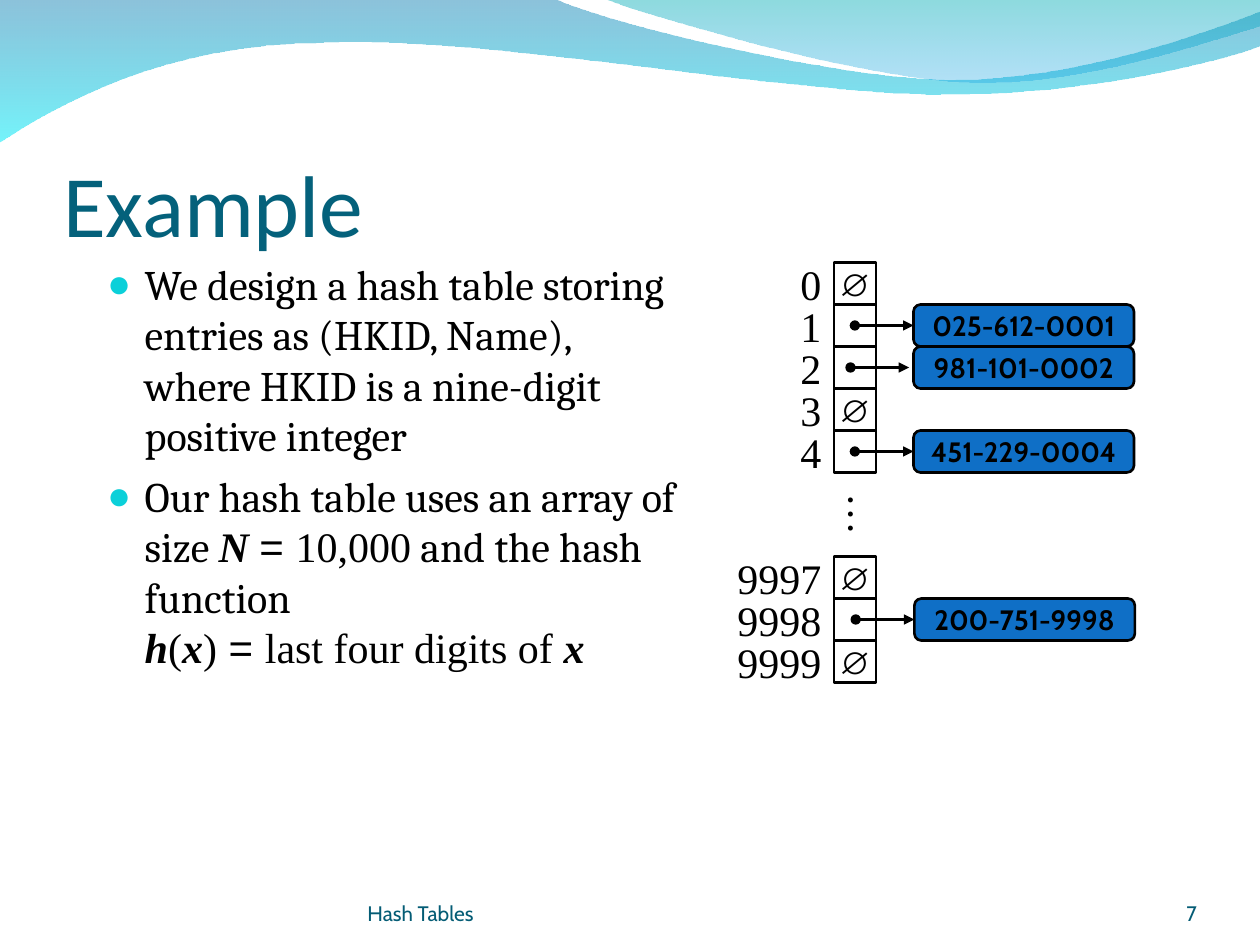
from lxml.etree import SubElement
from pptx import Presentation
from pptx.dml.color import RGBColor
from pptx.enum.shapes import MSO_CONNECTOR as CONN, MSO_SHAPE as SHAPE
from pptx.enum.text import MSO_ANCHOR as ANCHOR, MSO_AUTO_SIZE as AUTO, PP_ALIGN as ALIGN
from pptx.oxml.ns import qn
from pptx.util import Pt

BLACK, TEAL, SERIF = "000000", "045C75", "Times New Roman"
BOLD_ITALIC = (SERIF, True)
BULLETS = [
    [("We design a hash table storing entries as (HKID, Name), "
      "where HKID is a nine-digit positive integer", "Cambria", False)],
    [("Our hash table uses an array of size ", "Cambria", False),
     ("N ", *BOLD_ITALIC), ("= ", "Arial", False), ("10,000", SERIF, False),
     (" and the hash function\n", "Cambria", False),
     ("h", *BOLD_ITALIC), ("(", SERIF, False), ("x", *BOLD_ITALIC),
     (")", SERIF, False), (" = ", "Arial", False),
     ("last four digits of ", SERIF, False), ("x", *BOLD_ITALIC)],
]
ROWS = [
    (0, "0", None, 0, 0), (1, "1", "025-612-0001", 0, 0),
    (2, "2", "981-101-0002", 0, -2.5), (3, "3", None, 0, 0),
    (4, "4", "451-229-0004", 0, 0), (7, "9997", None, 0, 0),
    (8, "9998", "200-751-9998", 0.5, 0.5), (9, "9999", None, 0, 0),
]
WAVES = [
    ((0, -0.7), [
        [(316.8, -0.7)],
        [(342.7, 12.2), (478.1, 45.4), (545.8, 45.4)],
        [(614.2, 45.4), (689.8, 18.7), (720, 6.5)],
        [(720.7, 25.9)],
        [(707.8, 31.7), (626.4, 54.7), (537.1, 54)],
        [(447.8, 54), (275, 20.2), (185, 24.5)],
        [(92.9, 25.2), (33.1, 59.8), (-0.7, 81.4)],
    ], [("0079AF", 45), ("00EBF8", 55)]),
    ((344.9, -0.7), [
        [(366.5, 7.9), (491, 44.6), (553.7, 46.8)],
        [(616.3, 49.7), (691.9, 23), (720, 15.1)],
        [(720, 0)],
    ], [("00ADB6", 45), ("009BE5", 30)]),
]


def rgb(value):
    """Turn a hex string into a colour."""
    return RGBColor.from_string(value)


def add_run(p, text, font, size, color=BLACK, bold=None, italic=None):
    """Add one formatted run to a paragraph."""
    r = p.add_run()
    r.text = text
    r.font.name, r.font.size = font, Pt(size)
    r.font.bold, r.font.italic = bold, italic
    r.font.color.rgb = rgb(color)


def set_frame(tf, margins, anchor=ANCHOR.TOP, wrap=True):
    """Set the insets, anchor and wrapping of a text frame."""
    tf.margin_left, tf.margin_top, tf.margin_right, tf.margin_bottom = map(Pt, margins)
    tf.auto_size, tf.word_wrap, tf.vertical_anchor = AUTO.NONE, wrap, anchor


def place(sp, box):
    """Move a shape to a box in points."""
    sp.left, sp.top, sp.width, sp.height = map(Pt, box)


def add_label(shapes, box, text, font, size, color=BLACK, align=ALIGN.CENTER,
              margins=(7.2, 3.6, 7.2, 3.6), anchor=ANCHOR.TOP, wrap=False):
    """Add a text box with one line of text."""
    sp = shapes.add_textbox(*map(Pt, box))
    set_frame(sp.text_frame, margins, anchor, wrap)
    p = sp.text_frame.paragraphs[0]
    p.alignment = align
    add_run(p, text, font, size, color)
    return sp


def bend(sp, segments):
    """Join each three straight steps of a segment into one cubic curve."""
    steps = iter(list(sp._element.iter(qn("a:lnTo"))))
    for seg in segments:
        first, *rest = [next(steps) for _ in seg]
        if rest:
            first.tag = qn("a:cubicBezTo")
        for step in rest:
            first.append(step[0])
            step.getparent().remove(step)


def add_wave(s, start, segments, stops):
    """Draw one translucent gradient wave."""
    points = [(Pt(x), Pt(y)) for seg in segments for x, y in seg]
    builder = s.shapes.build_freeform(*map(Pt, start))
    builder.add_line_segments(points, close=True)
    sp = builder.convert_to_shape()
    bend(sp, segments)
    sp.shadow.inherit = False
    sp.line.fill.background()
    sp.fill.gradient()
    sp.fill.gradient_angle = 270
    for stop, (color, _), pos in zip(sp.fill.gradient_stops, stops, (0, 1)):
        stop.color.rgb, stop.position = rgb(color), pos
    for clr, (_, alpha) in zip(sp._element.spPr.iter(qn("a:srgbClr")), stops):
        SubElement(clr, qn("a:alpha"), val=str(alpha * 1000))


def add_title(s, box, text):
    """Fill the title placeholder."""
    place(s.shapes.title, box)
    tf = s.shapes.title.text_frame
    set_frame(tf, (0, 3.6, 0, 0), ANCHOR.BOTTOM)
    p = tf.paragraphs[0]
    p.alignment = ALIGN.LEFT
    add_run(p, text, "Calibri", 50, "04617B")


def add_bullets(s, box, items):
    """Fill the body placeholder with bulleted paragraphs."""
    body = s.placeholders[1]
    place(body, box)
    tf = body.text_frame
    set_frame(tf, (7.2, 3.6, 7.2, 3.6))
    for i, runs in enumerate(items):
        p = tf.add_paragraph() if i else tf.paragraphs[0]
        pPr = p._p.get_or_add_pPr()
        pPr.set("marL", str(Pt(21.5)))
        pPr.set("indent", str(-Pt(21.5)))
        SubElement(SubElement(pPr, qn("a:buClr")), qn("a:srgbClr"), val="0BD0D9")
        SubElement(pPr, qn("a:buSzPct"), val="95000")
        SubElement(pPr, qn("a:buChar"), char="●")
        p.space_before = Pt(6 if i else 0)
        for text, font, strong in runs:
            add_run(p, text.rstrip("\n"), font, 24, bold=strong, italic=strong)
            if text.endswith("\n"):
                p.add_line_break()


def add_box(shapes, kind, box, fill=None, text=None, font="Arial", size=18, bold=None):
    """Add an outlined shape with optional fill and centred text."""
    sp = shapes.add_shape(kind, *map(Pt, box))
    sp.shadow.inherit = False
    if fill:
        sp.fill.solid()
        sp.fill.fore_color.rgb = rgb(fill)
    else:
        sp.fill.background()
    sp.line.color.rgb, sp.line.width = rgb(BLACK), Pt(1.5)
    if text:
        set_frame(sp.text_frame, (7.2, 3.6, 7.2, 3.6), ANCHOR.MIDDLE, False)
        p = sp.text_frame.paragraphs[0]
        p.alignment = ALIGN.CENTER
        add_run(p, text, font, size, bold=bold)


def add_pointer(shapes, x1, x2, y):
    """Draw a pointer from a dot to an arrowhead."""
    line = shapes.add_connector(CONN.STRAIGHT, Pt(x1), Pt(y), Pt(x2), Pt(y))
    line.line.color.rgb, line.line.width = rgb(BLACK), Pt(1.5)
    ln = line.line._get_or_add_ln()
    SubElement(ln, qn("a:headEnd"), type="oval")
    SubElement(ln, qn("a:tailEnd"), type="triangle")
    SubElement(line._element.spPr, qn("a:effectLst"))


def add_hash_table(s, box, rows):
    """Draw the array cells, their indices and the stored keys as a group."""
    shapes = s.shapes.add_group_shape().shapes
    left, top, width, height = box
    side, cell_x, key_w = height / 10, left + 62.5, 126
    key_x = left + width - key_w
    for row, index, key, key_dx, arrow_dx in rows:
        y = top + row * side
        index_w = 12 * len(index) + 14.4
        add_box(shapes, SHAPE.RECTANGLE, (cell_x, y, side, side), text=None if key else "∅")
        add_label(shapes, (cell_x - index_w, y - 6, index_w, 36), index, SERIF, 24)
        if key:
            add_box(shapes, SHAPE.ROUNDED_RECTANGLE, (key_x + key_dx, y, key_w, side),
                    "0F6FC6", key, "Cabin", 16, True)
            add_pointer(shapes, cell_x + side / 2 + arrow_dx, key_x + arrow_dx, y + side / 2)
    dots = add_label(shapes, (cell_x - 1, top + 126, 38, 36), "…", SERIF, 24)
    dots.rotation = 90


def add_footer(s, box, text, align):
    """Add one footer field."""
    add_label(s.shapes, box, text, "Cabin", 12, TEAL, align, (0, 0, 0, 0), ANCHOR.BOTTOM, True)


def main():
    """Build and save the slide."""
    prs = Presentation()
    prs.slide_width, prs.slide_height = Pt(720), Pt(540)
    s = prs.slides.add_slide(prs.slide_layouts[1])
    for start, segments, stops in WAVES:
        add_wave(s, start, segments, stops)
    add_title(s, (36, 55.5, 648, 90), "Example")
    add_bullets(s, (54, 144, 342, 348), BULLETS)
    add_footer(s, (210, 500.5, 264, 28.5), "Hash Tables", ALIGN.LEFT)
    add_footer(s, (624, 500.5, 60, 28.5), "7", ALIGN.RIGHT)
    add_hash_table(s, (414, 150, 234, 240), ROWS)
    prs.save("out.pptx")


if __name__ == "__main__":
    main()
